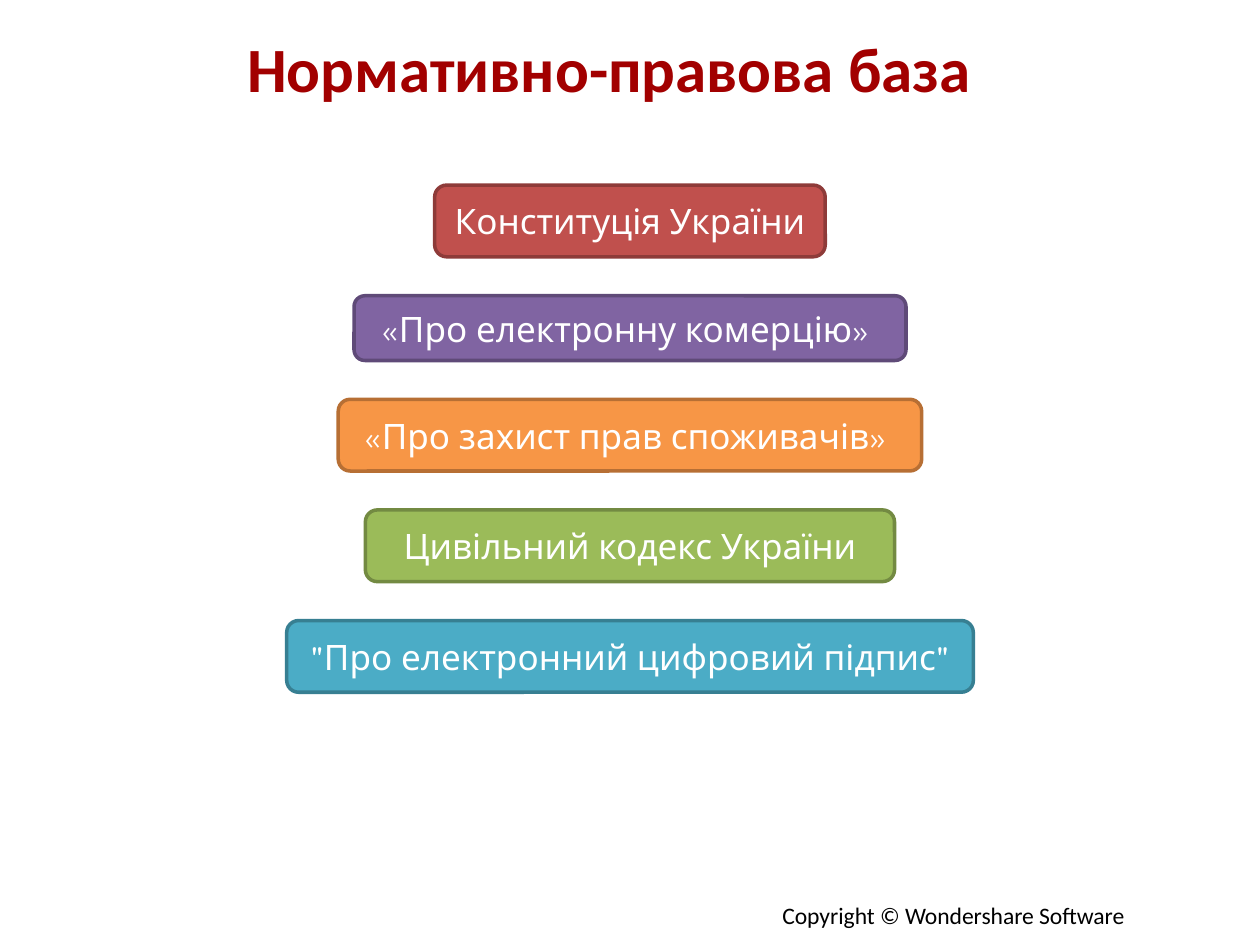
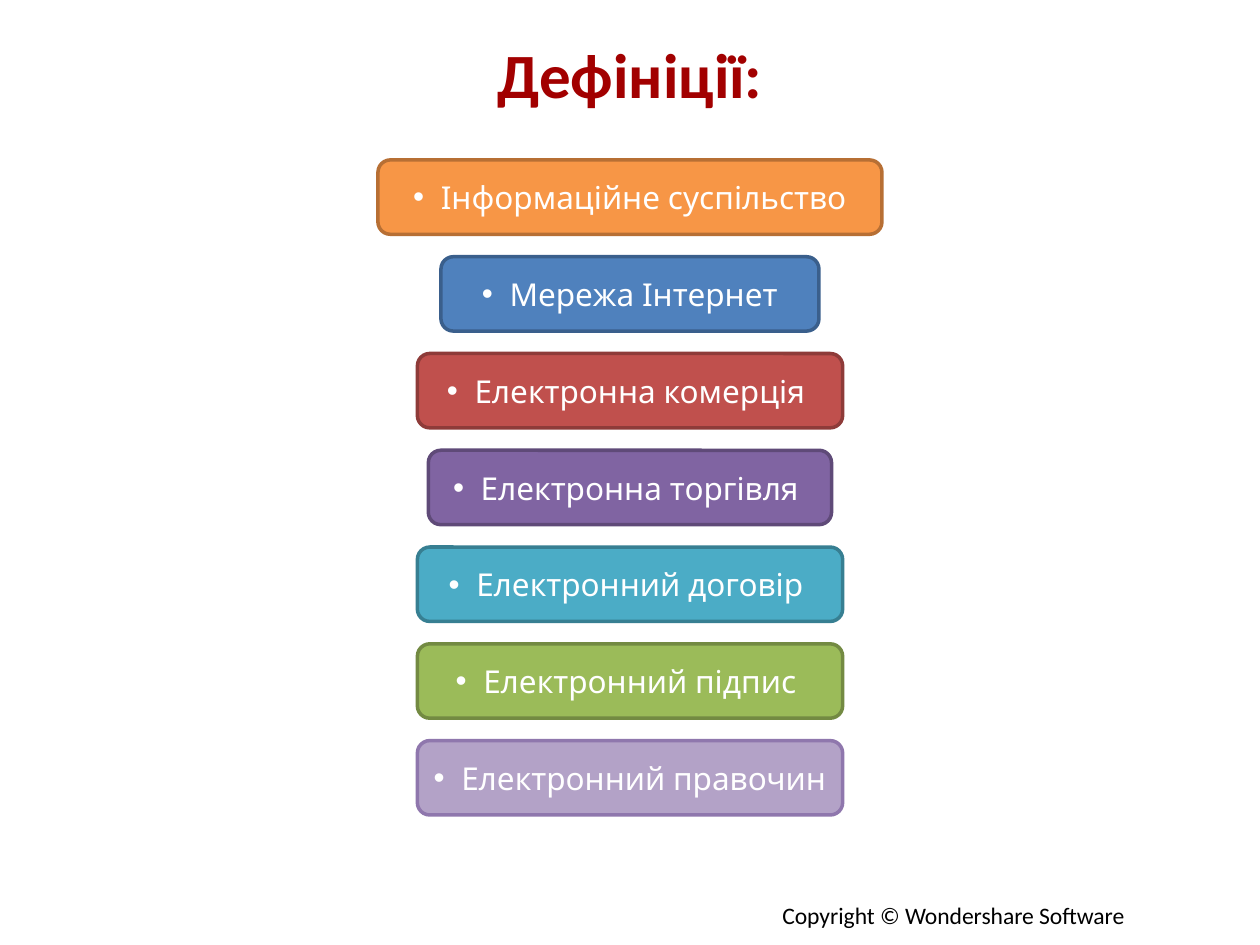
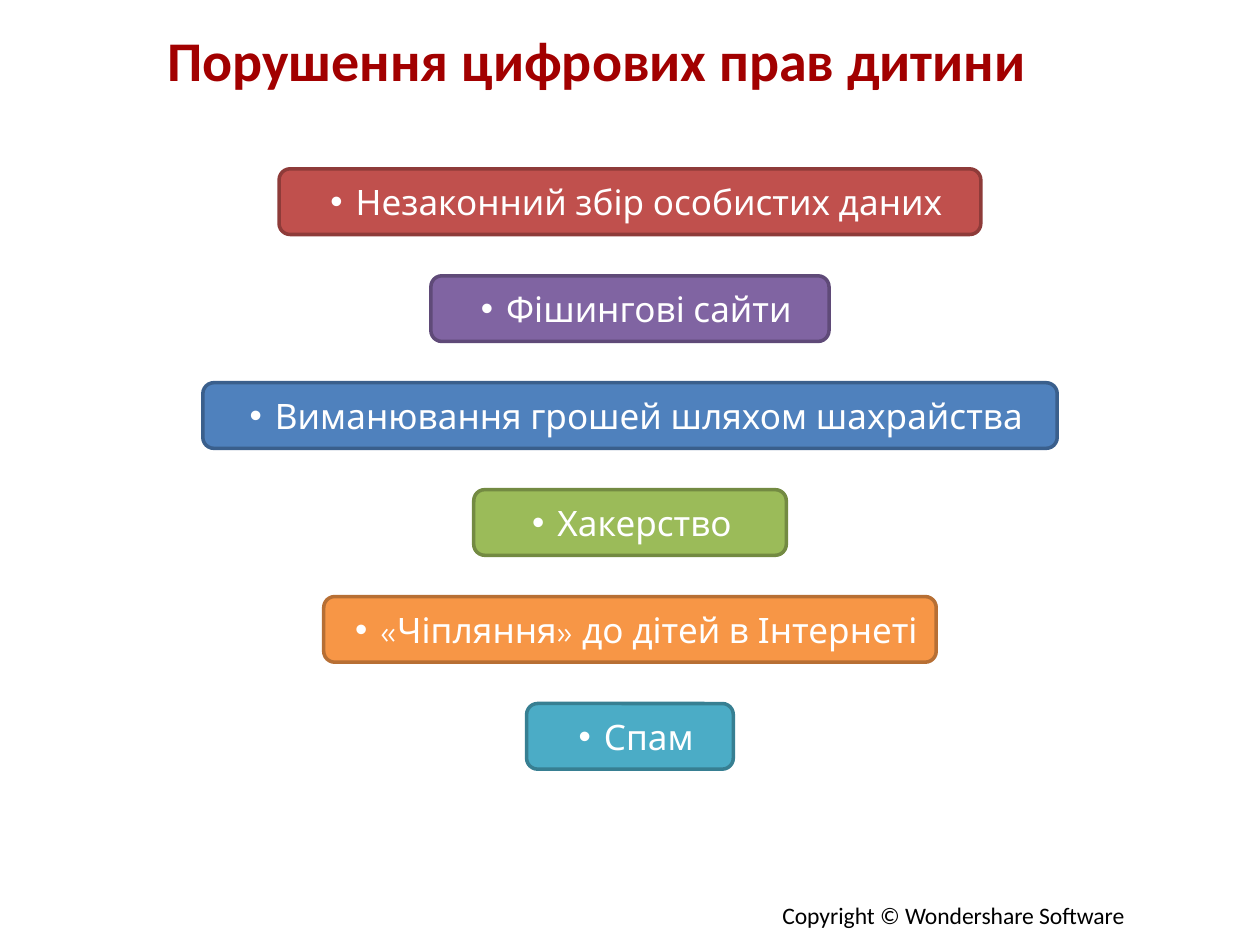
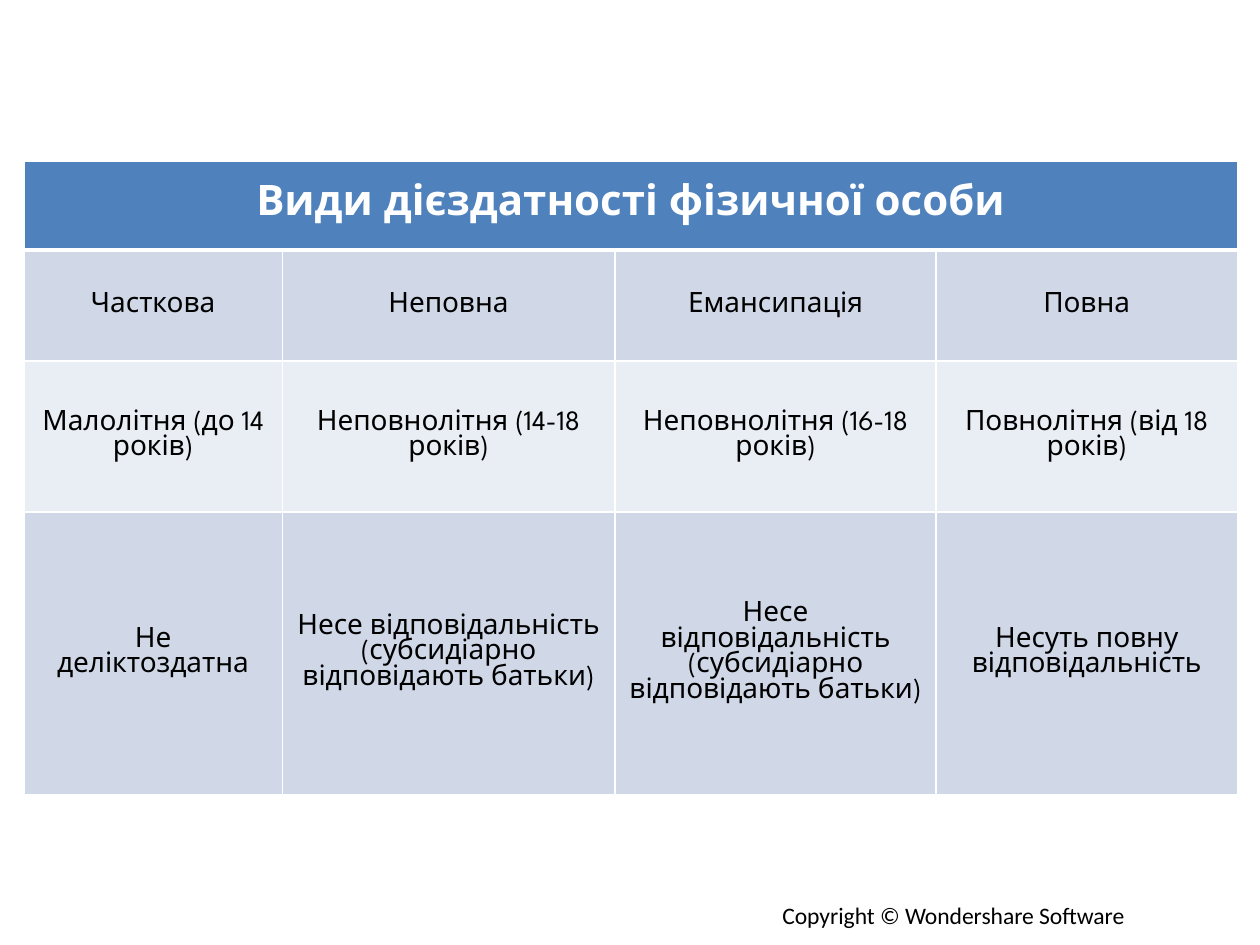
from lxml import etree
from pptx import Presentation
from pptx.dml.color import RGBColor
from pptx.enum import shapes, text
from pptx.oxml import parse_xml
from pptx.oxml.ns import nsdecls, qn
from pptx.util import Pt

WHITE = RGBColor(0xFF, 0xFF, 0xFF)
BLACK = RGBColor(0, 0, 0)
BLUE = RGBColor(0x4F, 0x81, 0xBD)
RED = RGBColor(0xC0, 0x50, 0x4D)
PURPLE = RGBColor(0x80, 0x64, 0xA2)
ORANGE = RGBColor(0xF7, 0x96, 0x46)
GREEN = RGBColor(0x9B, 0xBB, 0x59)
TEAL = RGBColor(0x4B, 0xAC, 0xC6)
LILAC = RGBColor(0xB3, 0xA2, 0xC7)
BAND_DARK = RGBColor(0xD0, 0xD8, 0xE8)
BAND_LIGHT = RGBColor(0xE9, 0xED, 0xF4)
OUTLINES = {
    BLUE: RGBColor(0x3A, 0x5F, 0x8C),
    RED: RGBColor(0x8E, 0x3B, 0x39),
    PURPLE: RGBColor(0x5F, 0x4A, 0x78),
    ORANGE: RGBColor(0xB7, 0x6F, 0x34),
    GREEN: RGBColor(0x73, 0x8A, 0x42),
    TEAL: RGBColor(0x37, 0x7F, 0x92),
    LILAC: RGBColor(0x8F, 0x77, 0xAD),
}
TITLE_STOPS = ((0, "C00000"), (43, "A20000"), (100, "860000"))
HEAD_FONT, BODY_FONT = "Calibri", "League Spartan"
SLIDE_WIDTH, SLIDE_HEIGHT = 720, 540
TITLE_HEIGHT = 49
COPYRIGHT = "Copyright © Wondershare Software"
CENTER, JUSTIFY = text.PP_ALIGN.CENTER, text.PP_ALIGN.JUSTIFY

# title box: left, top, width; bars: text, colour, width and, if unlike the rest, height
BAR_SLIDES = [
    {
        "title": "Нормативно-правова база", "box": (134, 13.7, 452),
        "title_size": 36, "align": JUSTIFY,
        "top": 105.8, "height": 41, "gap": 22.2, "size": 20, "indent": None,
        "bars": [
            ("Конституція України", RED, 223.2),
            ("«Про електронну комерцію» ", PURPLE, 315.4, 37),
            ("«Про захист прав споживачів» ", ORANGE, 333.4),
            ("Цивільний кодекс України", GREEN, 302.4),
            ('"Про електронний цифровий підпис"', TEAL, 392.4),
        ],
    },
    {
        "title": "Дефініції:", "box": (124, 17.3, 472),
        "title_size": 36, "align": CENTER,
        "top": 91.4, "height": 42.5, "gap": 12.8, "size": 18, "indent": (15.75, 15.75),
        "bars": [
            ("Інформаційне суспільство", ORANGE, 288),
            ("Мережа Інтернет", BLUE, 216),
            ("Електронна комерція ", RED, 243),
            ("Електронна торгівля ", PURPLE, 230.4),
            ("Електронний договір ", TEAL, 243),
            ("Електронний підпис ", GREEN, 243),
            ("Електронний правочин ", LILAC, 243),
        ],
    },
    {
        "title": "Порушення цифрових прав дитини", "box": (13, 9.4, 656.6),
        "title_size": 32, "align": CENTER,
        "top": 96.5, "height": 37.5, "gap": 23.6, "size": 20, "indent": (21.6, 14.4),
        "bars": [
            ("Незаконний збір особистих даних", RED, 401),
            ("Фішингові сайти", PURPLE, 227.5),
            ("Виманювання грошей шляхом шахрайства", BLUE, 488.2),
            ("Хакерство ", GREEN, 178.6),
            ("«Чіпляння» до дітей в Інтернеті", ORANGE, 350),
            ("Спам", TEAL, 118.1),
        ],
    },
]

SHARED_LIABILITY = "Несе відповідальність (субсидіарно відповідають батьки)"
CAPACITY_HEADING = "Види дієздатності фізичної особи"
CAPACITY_ROWS = [
    ("Часткова", "Неповна", "Емансипація", "Повна"),
    ("Малолітня (до 14 років)", "Неповнолітня (14-18 років)",
     "Неповнолітня (16-18 років)", "Повнолітня (від 18 років)"),
    ("Не деліктоздатна", SHARED_LIABILITY, SHARED_LIABILITY,
     "Несуть повну відповідальність"),
]
CAPACITY_AT = (13.7, 92.4)
COLUMN_WIDTHS = (147.6, 190.1, 183.6, 172.1)
ROW_HEIGHTS = (50.4, 63.4, 86.4, 161.3)


def write(frame, words, align=None, color=None, **font):
    """Fill the first paragraph with one formatted run and return the run."""
    paragraph = frame.paragraphs[0]
    paragraph.alignment = align
    run = paragraph.add_run()
    run.text = words
    for attribute, value in font.items():
        setattr(run.font, attribute, value)
    if color is not None:
        run.font.color.rgb = color
    return run


def add_title(slide, spec_row):
    title = slide.shapes.title
    left, top, width = spec_row["box"]
    for side, value in dict(left=left, top=top, width=width, height=TITLE_HEIGHT).items():
        setattr(title, side, Pt(value))
    frame = title.text_frame
    frame.auto_size = text.MSO_AUTO_SIZE.NONE
    frame.vertical_anchor = text.MSO_ANCHOR.MIDDLE
    run = write(frame, spec_row["title"], spec_row["align"],
                name=HEAD_FONT, size=Pt(spec_row["title_size"]), bold=True)
    stops = "".join(f'<a:gs pos="{percent * 1000}"><a:srgbClr val="{color}"/></a:gs>'
                    for percent, color in TITLE_STOPS)
    run.font.fill.background()
    properties = run._r.rPr
    properties.replace(properties.find(qn("a:noFill")), parse_xml(
        f'<a:gradFill {nsdecls("a")}><a:gsLst>{stops}</a:gsLst>'
        '<a:lin ang="5400000"/></a:gradFill>'))


def add_bullet(paragraph, left, hanging):
    properties = paragraph._p.get_or_add_pPr()
    properties.set("marL", str(Pt(left)))
    properties.set("indent", str(-Pt(hanging)))
    etree.SubElement(properties, qn("a:buFont")).set("typeface", "Arial")
    etree.SubElement(properties, qn("a:buChar")).set("char", "•")


def add_bars(slide, content):
    """Stack the bars downwards with equal gaps, each centred on the slide."""
    top = content["top"]
    for words, color, width, *own_height in content["bars"]:
        height = own_height[0] if own_height else content["height"]
        bar = slide.shapes.add_shape(
            shapes.MSO_SHAPE.ROUNDED_RECTANGLE,
            Pt((SLIDE_WIDTH - width) / 2), Pt(top), Pt(width), Pt(height))
        bar.shadow.inherit = False
        bar.fill.solid()
        bar.fill.fore_color.rgb = color
        bar.line.color.rgb = OUTLINES[color]
        bar.line.width = Pt(2)
        frame = bar.text_frame
        frame.word_wrap = True
        frame.vertical_anchor = text.MSO_ANCHOR.MIDDLE
        if content["indent"]:
            add_bullet(frame.paragraphs[0], *content["indent"])
        write(frame, words, CENTER, WHITE, name=BODY_FONT, size=Pt(content["size"]))
        top += height + content["gap"]


def set_borders(cell, bottom):
    properties = cell._tc.get_or_add_tcPr()
    for position, (side, width) in enumerate(
            (("lnL", 1), ("lnR", 1), ("lnT", 1), ("lnB", bottom))):
        properties.insert(position, parse_xml(
            f'<a:{side} {nsdecls("a")} w="{Pt(width)}"><a:solidFill>'
            f'<a:srgbClr val="{WHITE}"/></a:solidFill></a:{side}>'))


def fill_cell(cell, words, fill, bottom=1, **font):
    cell.fill.solid()
    cell.fill.fore_color.rgb = fill
    cell.vertical_anchor = text.MSO_ANCHOR.MIDDLE
    set_borders(cell, bottom)
    if words:
        write(cell.text_frame, words, CENTER, name=BODY_FONT, **font)


def add_capacity_table(slide):
    left, top = CAPACITY_AT
    table = slide.shapes.add_table(
        len(ROW_HEIGHTS), len(COLUMN_WIDTHS), Pt(left), Pt(top),
        Pt(sum(COLUMN_WIDTHS)), Pt(sum(ROW_HEIGHTS))).table
    for column, width in zip(table.columns, COLUMN_WIDTHS):
        column.width = Pt(width)
    for row, height in zip(table.rows, ROW_HEIGHTS):
        row.height = Pt(height)

    last = len(COLUMN_WIDTHS) - 1
    table.cell(0, 0).merge(table.cell(0, last))
    for column in range(last + 1):
        fill_cell(table.cell(0, column), "" if column else CAPACITY_HEADING, BLUE,
                  bottom=3, color=WHITE, size=Pt(24), bold=True)
    for row, entries in enumerate(CAPACITY_ROWS, 1):
        band = BAND_DARK if row % 2 else BAND_LIGHT
        for column, words in enumerate(entries):
            fill_cell(table.cell(row, column), words, band,
                      color=BLACK, size=Pt(16), bold=False)


def add_master_footer(prs, slide):
    """Draw the copyright line on a slide, then move it to the master all slides share."""
    footer = slide.shapes.add_textbox(Pt(440), Pt(511.2), Pt(213.8), Pt(23.8))
    frame = footer.text_frame
    frame.word_wrap = False
    frame.auto_size = text.MSO_AUTO_SIZE.SHAPE_TO_FIT_TEXT
    write(frame, COPYRIGHT, color=BLACK, name=HEAD_FONT, size=Pt(13.5))
    prs.slide_master.shapes._spTree.append(footer._element)


def main():
    prs = Presentation()
    prs.slide_width, prs.slide_height = Pt(SLIDE_WIDTH), Pt(SLIDE_HEIGHT)
    title_only, blank = prs.slide_layouts[5], prs.slide_layouts[6]
    for content in BAR_SLIDES:
        slide = prs.slides.add_slide(title_only)
        add_title(slide, content)
        add_bars(slide, content)
    capacity_slide = prs.slides.add_slide(blank)
    add_capacity_table(capacity_slide)
    add_master_footer(prs, capacity_slide)
    prs.save("out.pptx")


if __name__ == "__main__":
    main()
